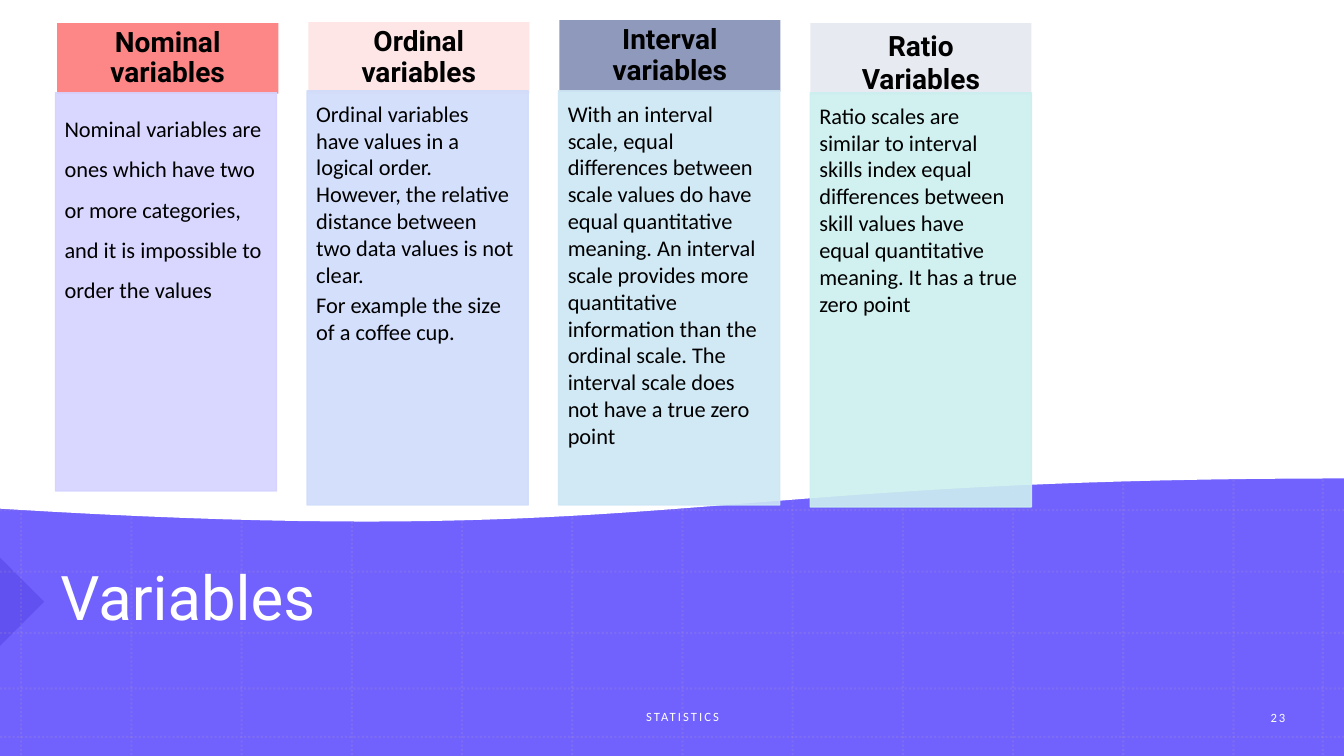
from dataclasses import dataclass

from lxml.etree import SubElement
from pptx import Presentation
from pptx.dml.color import RGBColor
from pptx.dml.fill import FillFormat
from pptx.enum.dml import MSO_LINE
from pptx.enum.shapes import MSO_CONNECTOR, MSO_SHAPE
from pptx.enum.text import MSO_ANCHOR, MSO_AUTO_SIZE, PP_ALIGN
from pptx.oxml.ns import qn
from pptx.shapes.autoshape import Shape
from pptx.slide import Slide
from pptx.text.text import TextFrame
from pptx.util import Inches, Pt

WIDE, HIGH = Inches(13.33), Inches(7.5)
WHITE, BLACK = "FFFFFF", "000000"
HEAD_X, HEAD_STEP = 4.26, 18.68
BODY_X, BODY_STEP = 4.13, 18.72
CARD_W = 16.45


@dataclass
class Card:
    title: str
    text: str
    tint: str
    fade: int
    fill: str
    head_y: float
    head_h: float
    body_y: float
    body_h: float
    lead: float = 1.0
    gap: int = 20


CARDS = [
    Card("Nominal variables",
         "Nominal variables are ones which have two or more categories, "
         "and it is impossible to order the values",
         "FD8686", 100, "D5D3FF", 3.07, 9.33, 12.27, 52.67, lead=1.5),
    Card("Ordinal variables",
         "Ordinal variables have values in a logical order. However, the "
         "relative distance between two data values is not clear.\n"
         "For example the size of a coffee cup.",
         "FD8686", 20, "CFDCFB", 2.93, 9.47, 12, 54.8),
    Card("Interval variables",
         "With an interval scale, equal differences between scale values do "
         "have equal quantitative meaning. An interval scale provides more "
         "quantitative information than the ordinal scale. The interval "
         "scale does not have a true zero point",
         "8F99BB", 100, "CDE7F5", 2.67, 9.47, 12, 54.8),
    Card("Ratio Variables",
         "Ratio scales are similar to interval skills index equal "
         "differences between skill values have equal quantitative meaning. "
         "It has a true zero point",
         "8F99BB", 20, "CCEFEF", 3.07, 9.47, 12.27, 54.8, gap=28),
]


def across(share: float) -> int:
    return round(WIDE * share / 100)


def down(share: float) -> int:
    return round(HIGH * share / 100)


def place(x: float, y: float, w: float, h: float) -> tuple[int, int, int, int]:
    return across(x), down(y), across(w), down(h)


def paint(fill: FillFormat, tone: str, alpha: int = 100) -> None:
    fill.solid()
    fill.fore_color.rgb = RGBColor.from_string(tone)
    if alpha < 100:
        node = fill._xPr.find(qn("a:solidFill"))[0]
        SubElement(node, qn("a:alpha")).set("val", str(alpha * 1000))


def write(frame: TextFrame, text: str, *, size: float, font: str = "Calibri",
          tone: str = WHITE, bold: bool = False, align: PP_ALIGN = PP_ALIGN.LEFT,
          anchor: MSO_ANCHOR = MSO_ANCHOR.MIDDLE, lead: float = 1.0,
          after: float = 0, track: int = 0, gap: float = 0,
          inset: tuple[float, ...] = (0.1, 0.05, 0.1, 0.05)) -> None:
    frame.word_wrap = True
    frame.auto_size = MSO_AUTO_SIZE.NONE
    frame.vertical_anchor = anchor
    (frame.margin_left, frame.margin_top,
     frame.margin_right, frame.margin_bottom) = map(Inches, inset)
    for spot, line in enumerate(text.split("\n")):
        para = frame.add_paragraph() if spot else frame.paragraphs[0]
        para.alignment = align
        para.line_spacing = lead
        para.space_before = Pt(0)
        para.space_after = Pt(after)
        for part in line.partition(" ") if gap else [line]:
            run = para.add_run()
            run.text = part
            run.font.name = font
            run.font.size = Pt(gap if part == " " else size)
            run.font.bold = bold
            paint(run.font.fill, tone)
            if track:
                run.font._element.set("spc", str(track))


def block(slide: Slide, kind: MSO_SHAPE, area: tuple[int, int, int, int],
          tone: str, alpha: int = 100, edge: bool = False) -> Shape:
    shape = slide.shapes.add_shape(kind, *area)
    shape.shadow.inherit = False
    paint(shape.fill, tone, alpha)
    if edge:
        shape.line.width = Pt(1)
        paint(shape.line.fill, tone, alpha)
    else:
        shape.line.fill.background()
    return shape


def rule(slide: Slide, x: float, y: float, to_x: float, to_y: float) -> None:
    line = slide.shapes.add_connector(
        MSO_CONNECTOR.STRAIGHT, across(x), down(y), across(to_x), down(to_y))
    line.line.width = Pt(1.5)
    paint(line.line.fill, "B495C2", 20)
    line.line.dash_style = MSO_LINE.ROUND_DOT
    SubElement(line._element.spPr, qn("a:effectLst"))


def mesh(slide: Slide) -> None:
    for x in [1.58 + 8.2 * i for i in range(12)] + [98.42]:
        rule(slide, x, 0, x, 100)
    for y in [2.53 + 8.12 * i for i in range(11)] + [91.07, 97.47]:
        rule(slide, 0, y, 100, y)


def curve(a: float, b: float, c: float, d: float, t: float) -> float:
    u = 1 - t
    return a * u**3 + 3 * b * u * u * t + 3 * c * u * t * t + d * t**3


def wave(slide: Slide) -> None:
    steps = [i / 40 for i in range(41)]
    rim = [(across(curve(100.15, 50.26, 49.96, 0, t)),
            down(curve(63.2, 63.2, 72.67, 67.2, t))) for t in steps]
    pen = slide.shapes.build_freeform(0, down(-0.4))
    pen.add_line_segments([(across(100.15), down(-0.4))] + rim, close=True)
    shape = pen.convert_to_shape()
    shape.shadow.inherit = False
    paint(shape.fill, WHITE)
    paint(shape.line.fill, WHITE)
    shape.line.width = Pt(1)


def label(slide: Slide, text: str, area: tuple[int, int, int, int]) -> None:
    box = slide.shapes.add_textbox(*area)
    write(box.text_frame, text, size=9, align=PP_ALIGN.CENTER, track=150)


def draw(slide: Slide, card: Card, col: int) -> None:
    area = place(HEAD_X + HEAD_STEP * col, card.head_y, CARD_W, card.head_h)
    head = block(slide, MSO_SHAPE.RECTANGLE, area, card.tint, card.fade)
    write(head.text_frame, card.title, size=20, font="Roboto", tone=BLACK,
          bold=True, align=PP_ALIGN.CENTER, lead=0.9, after=7, gap=card.gap,
          inset=(0.16, 0.09, 0.16, 0.09))
    area = place(BODY_X + BODY_STEP * col, card.body_y, CARD_W, card.body_h)
    body = block(slide, MSO_SHAPE.RECTANGLE, area, card.fill, 90, edge=True)
    write(body.text_frame, card.text, size=16, tone=BLACK, lead=card.lead,
          anchor=MSO_ANCHOR.TOP, after=2.4, inset=(0.09, 0.09, 0.12, 0.14))


def main() -> None:
    deck = Presentation()
    deck.slide_width, deck.slide_height = WIDE, HIGH
    slide = deck.slides.add_slide(deck.slide_layouts[5])
    paint(slide.background.fill, "7162FE")
    notch = block(slide, MSO_SHAPE.RIGHT_TRIANGLE,
                  place(-2.33, 75.47, 4.65, 8.27), "1201AF", 17)
    notch.rotation = 225
    mesh(slide)
    wave(slide)
    title = slide.shapes.title
    title.left, title.top, title.width, title.height = place(3.75, 67.87, 88.15, 23.2)
    write(title.text_frame, "Variables", size=44, font="Roboto", lead=0.9)
    slide.shapes._spTree.append(title._element)
    label(slide, "STATISTICS", place(34.43, 92.13, 32.71, 5.33))
    label(slide, "23", place(91.82, 92.27, 6.53, 5.33))
    for col, card in enumerate(CARDS):
        draw(slide, card, col)
    deck.save("out.pptx")


if __name__ == "__main__":
    main()
